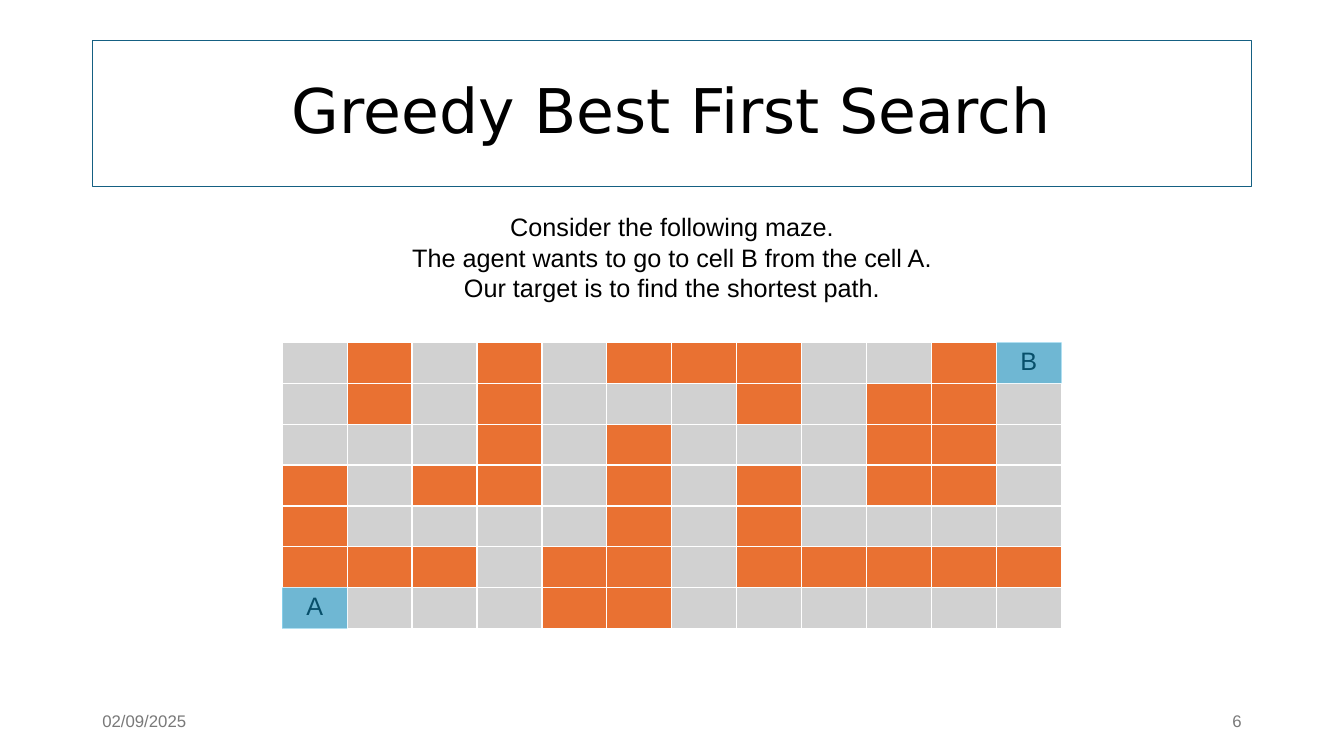
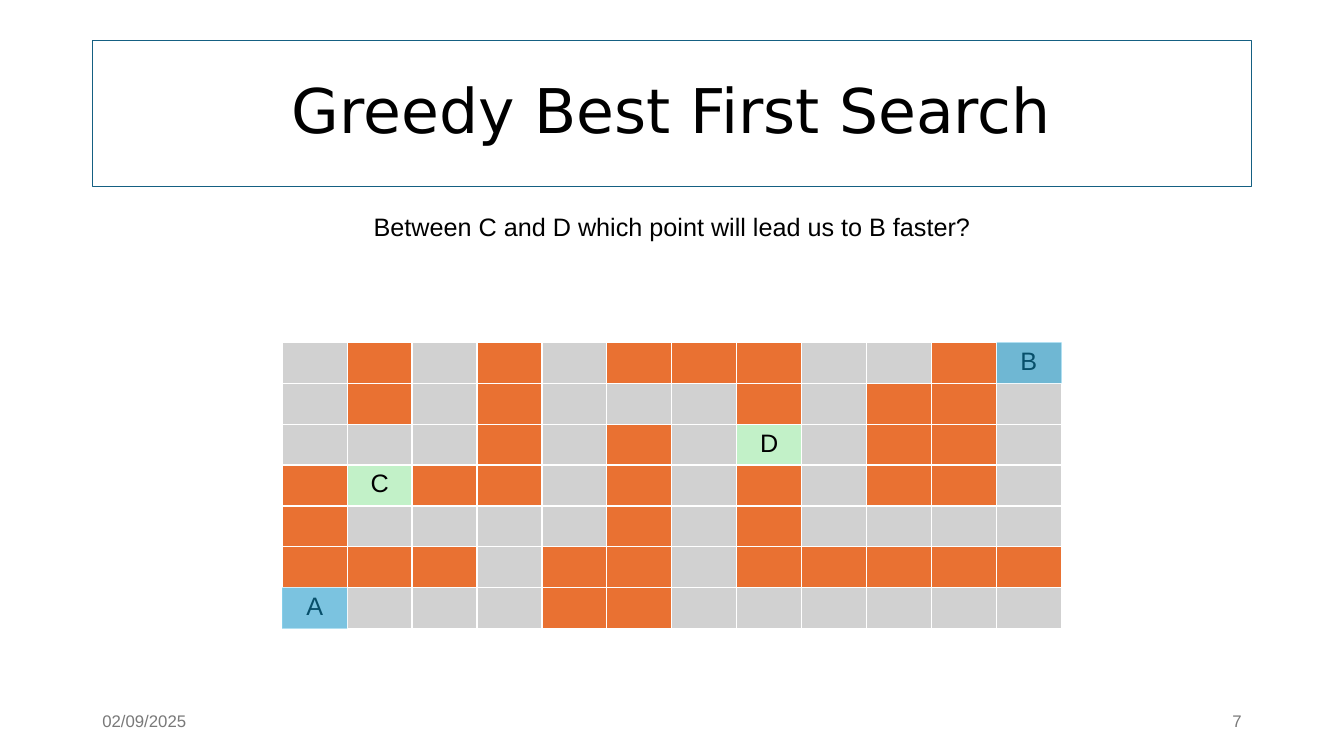
"""Build two slides that introduce greedy best first search on a maze."""
from lxml import etree
from pptx import Presentation
from pptx.dml.color import RGBColor
from pptx.enum import shapes, text
from pptx.oxml import ns
from pptx.util import Pt

COLORS = {
    "ink": "000000", "frame": "156082", "footer": "797979", "border": "FFFFFF",
    "open": "D1D1D1", "wall": "E97132", "goal": "0F9ED5", "point": "C2F1C8",
    "start": "E8EAED",
}
FORMATS = {
    "title": {"name": "DejaVu Sans", "size": Pt(44), "color": "ink"},
    "body": {"name": "Arial", "size": Pt(18), "color": "ink"},
    "footer": {"name": "Arial", "size": Pt(12), "color": "footer"},
}
LEFT, CENTER, RIGHT = text.PP_ALIGN.LEFT, text.PP_ALIGN.CENTER, text.PP_ALIGN.RIGHT
MIDDLE, TOP = text.MSO_ANCHOR.MIDDLE, text.MSO_ANCHOR.TOP
WIDTH, HEIGHT = 960, 540
MARGIN, CONTENT = 66, 828
MAZE = [
    ".#.#.###..#B",
    ".#.#...#.##.",
    "...#.#...##.",
    "#.##.#.#.##.",
    "#....#.#....",
    "###.##.#####",
    "A...##......",
]
ROWS, COLUMNS = len(MAZE), len(MAZE[0])
CELL_WIDTH, CELL_HEIGHT = 46.4, 29.2
MAZE_LEFT, MAZE_TOP = (WIDTH - COLUMNS * CELL_WIDTH) / 2, 244.6
GOALS = [(0, COLUMNS - 1), (ROWS - 1, 0)]
PAGES = [
    {"number": "6", "points": {}, "start": "open", "size": (389.5, 72.7),
     "lines": ["Consider the following maze.",
               "The agent wants to go to cell B from the cell A.",
               "Our target is to find the shortest path."]},
    {"number": "7", "points": {(2, 7): "D", (3, 1): "C"}, "start": "start",
     "size": (445, 29.1),
     "lines": ["Between C and D which point will lead us to B faster?"]},
]


def write(frame, lines, style, align, anchor=TOP, wrap=True, spacing=None):
    frame.word_wrap = wrap
    frame.vertical_anchor = anchor
    for index, line in enumerate(lines):
        para = frame.add_paragraph() if index else frame.paragraphs[0]
        para.alignment = align
        para.line_spacing = spacing
        span = para.add_run()
        span.text = line
        for key, value in FORMATS[style].items():
            if key == "color":
                span.font.color.rgb = RGBColor.from_string(COLORS[value])
            else:
                setattr(span.font, key, value)


def paint(cell, color):
    properties = cell._tc.get_or_add_tcPr()
    for side in ("lnL", "lnR", "lnT", "lnB"):
        line = etree.SubElement(properties, ns.qn(f"a:{side}"), w=str(Pt(1)))
        solid = etree.SubElement(line, ns.qn("a:solidFill"))
        etree.SubElement(solid, ns.qn("a:srgbClr"), val=COLORS["border"])
    cell.fill.solid()
    cell.fill.fore_color.rgb = RGBColor.from_string(COLORS[color])


deck = Presentation()
deck.slide_width, deck.slide_height = Pt(WIDTH), Pt(HEIGHT)

for content in PAGES:
    page = deck.slides.add_slide(deck.slide_layouts[6])

    title = page.shapes.add_shape(shapes.MSO_SHAPE.RECTANGLE, Pt(MARGIN), Pt(28.75),
                                  Pt(CONTENT), Pt(104.4))
    title.shadow.inherit = False
    title.fill.background()
    title.line.color.rgb = RGBColor.from_string(COLORS["frame"])
    title.line.width = Pt(0.75)
    write(title.text_frame, ["Greedy Best First Search"], "title", CENTER, MIDDLE,
          spacing=0.9)

    maze = page.shapes.add_table(ROWS, COLUMNS, Pt(MAZE_LEFT), Pt(MAZE_TOP),
                                 Pt(COLUMNS * CELL_WIDTH), Pt(ROWS * CELL_HEIGHT)).table
    maze.first_row = maze.horz_banding = False
    for column in maze.columns:
        column.width = Pt(CELL_WIDTH)
    for row_index, pattern in enumerate(MAZE):
        maze.rows[row_index].height = Pt(CELL_HEIGHT)
        for column_index, symbol in enumerate(pattern):
            cell = maze.cell(row_index, column_index)
            point = content["points"].get((row_index, column_index))
            fills = {"#": "wall", "A": content["start"]}
            paint(cell, "point" if point else fills.get(symbol, "open"))
            label = point or symbol
            if label.isalpha():
                write(cell.text_frame, [label], "body", CENTER)

    for label, left, align in (("02/09/2025", MARGIN, LEFT),
                               (content["number"], MARGIN + CONTENT - 216, RIGHT)):
        box = page.shapes.add_textbox(Pt(left), Pt(500.5), Pt(216), Pt(28.75))
        write(box.text_frame, [label], "footer", align, MIDDLE)

    for row_index, column_index in GOALS:
        goal = page.shapes.add_shape(
            shapes.MSO_SHAPE.RECTANGLE, Pt(MAZE_LEFT + column_index * CELL_WIDTH),
            Pt(MAZE_TOP + row_index * CELL_HEIGHT), Pt(CELL_WIDTH), Pt(CELL_HEIGHT))
        goal.shadow.inherit = False
        goal.line.fill.background()
        goal.fill.solid()
        goal.fill.fore_color.rgb = RGBColor.from_string(COLORS["goal"])
        tint = goal._element.spPr.find(ns.qn("a:solidFill"))[0]
        etree.SubElement(tint, ns.qn("a:alpha"), val="50000")

    width, height = content["size"]
    box = page.shapes.add_textbox(Pt((WIDTH - width) / 2), Pt(147.6), Pt(width), Pt(height))
    write(box.text_frame, content["lines"], "body", CENTER, wrap=False)
    box.text_frame.auto_size = text.MSO_AUTO_SIZE.SHAPE_TO_FIT_TEXT

deck.save("out.pptx")
